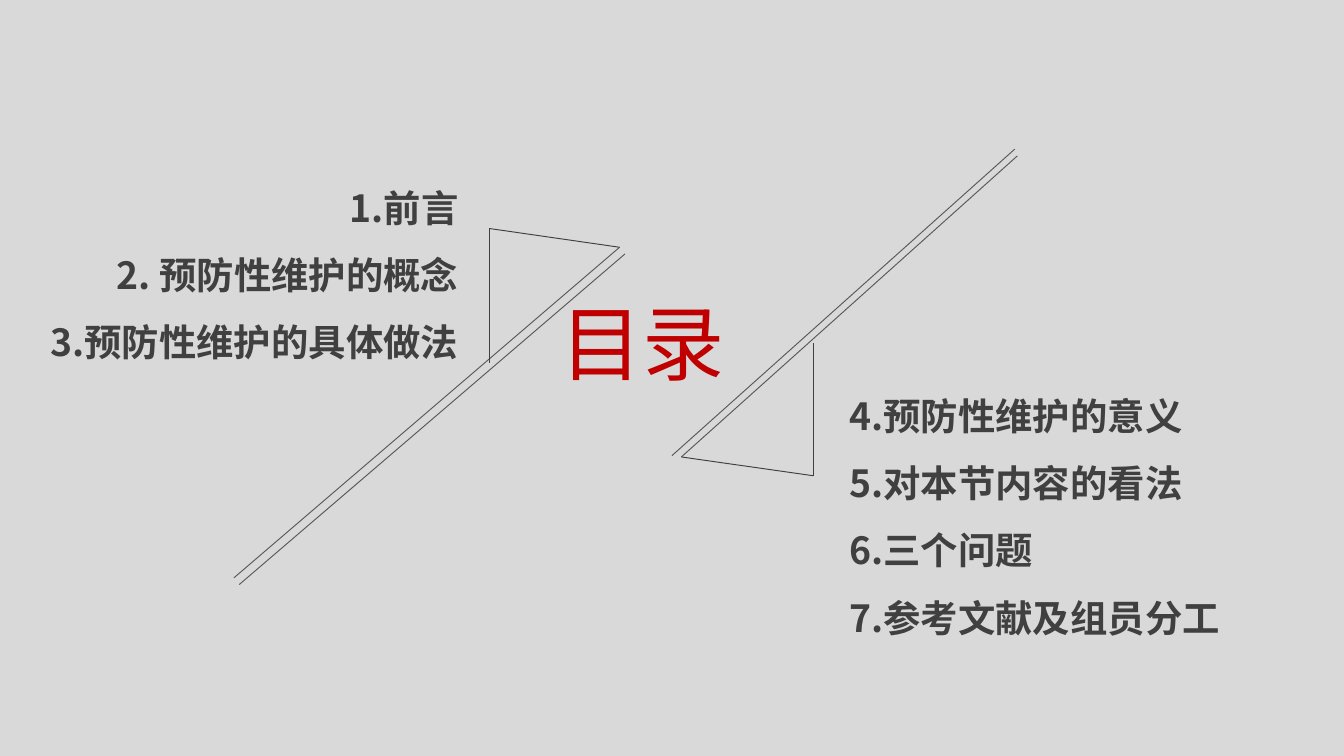
from itertools import pairwise

from lxml import etree
from pptx import Presentation
from pptx import util as u
from pptx.dml.color import RGBColor
from pptx.enum import shapes, text
from pptx.oxml import ns

BACK = RGBColor(0xD9, 0xD9, 0xD9)
RED = RGBColor(0xC0, 0x00, 0x00)
DARK = RGBColor(0x40, 0x40, 0x40)
GRAY = RGBColor(0x59, 0x59, 0x59)
FONT = "Noto Sans CJK SC"
COLS = 100
ROWS = COLS * 9 / 16
LEFT, RIGHT = text.PP_ALIGN.LEFT, text.PP_ALIGN.RIGHT


def cell(count):
    """Length of a number of square grid cells, a tenth of an inch each."""
    return u.Inches(count / 10)


def write(page, box, lines, size=20, color=DARK, bold=True, align=LEFT, space=1.5):
    frame = page.shapes.add_textbox(*map(cell, box)).text_frame
    frame.word_wrap = True
    frame.auto_size = text.MSO_AUTO_SIZE.SHAPE_TO_FIT_TEXT
    for i, line in enumerate(lines):
        para = frame.paragraphs[0] if i == 0 else frame.add_paragraph()
        para.alignment, para.line_spacing = align, space
        run = para.add_run()
        run.text = line
        font = run.font
        font.name, font.size, font.bold = FONT, u.Pt(size), bold
        font.color.rgb = color
        east = etree.SubElement(run._r.get_or_add_rPr(), ns.qn("a:ea"))
        east.set("typeface", FONT)


def trace(page, spot, points, color):
    """Join the points, given relative to spot, with thin lines."""
    left, top = spot
    for (x1, y1), (x2, y2) in pairwise(points):
        line = page.shapes.add_connector(
            shapes.MSO_CONNECTOR.STRAIGHT,
            cell(left + x1), cell(top + y1), cell(left + x2), cell(top + y2))
        line.line.color.rgb = color
        line.line.width = u.Pt(0.5)
        etree.SubElement(line._element.spPr, ns.qn("a:effectLst"))


def wing(page, spot, rails, flag):
    """Draw two slanted rails and the open triangle that hangs on them."""
    for rail in rails:
        trace(page, spot, rail, GRAY)
    trace(page, spot, flag, DARK)


def main():
    deck = Presentation()
    deck.slide_width, deck.slide_height = cell(COLS), cell(ROWS)
    page = deck.slides.add_slide(deck.slide_layouts[6])
    fill = page.background.fill
    fill.solid()
    fill.fore_color.rgb = BACK

    wing(page, (17.4, 17),
         rails=[[(0, 26), (28.7, 1.4)], [(0.4, 26.5), (29.1, 1.9)]],
         flag=[(28.7, 1.4), (19, 0), (19, 10)])
    wing(page, (50, 11.1),
         rails=[[(0.7, 22.9), (25.7, 0.5)], [(0, 22.8), (25.5, 0)]],
         flag=[(0.7, 22.9), (10.5, 24.3), (10.5, 14.4)])

    write(page, (40.7, 21.3, 14.8, 8.4), ["目录"],
          size=44, color=RED, bold=False, space=1)
    write(page, (1.7, 11.6, 33.4, 16),
          ["1.前言", "2. 预防性维护的概念", "3.预防性维护的具体做法"], align=RIGHT)
    write(page, (62.2, 27.1, 32.1, 21),
          ["4.预防性维护的意义", "5.对本节内容的看法", "6.三个问题", "7.参考文献及组员分工"])
    deck.save("out.pptx")


if __name__ == "__main__":
    main()
